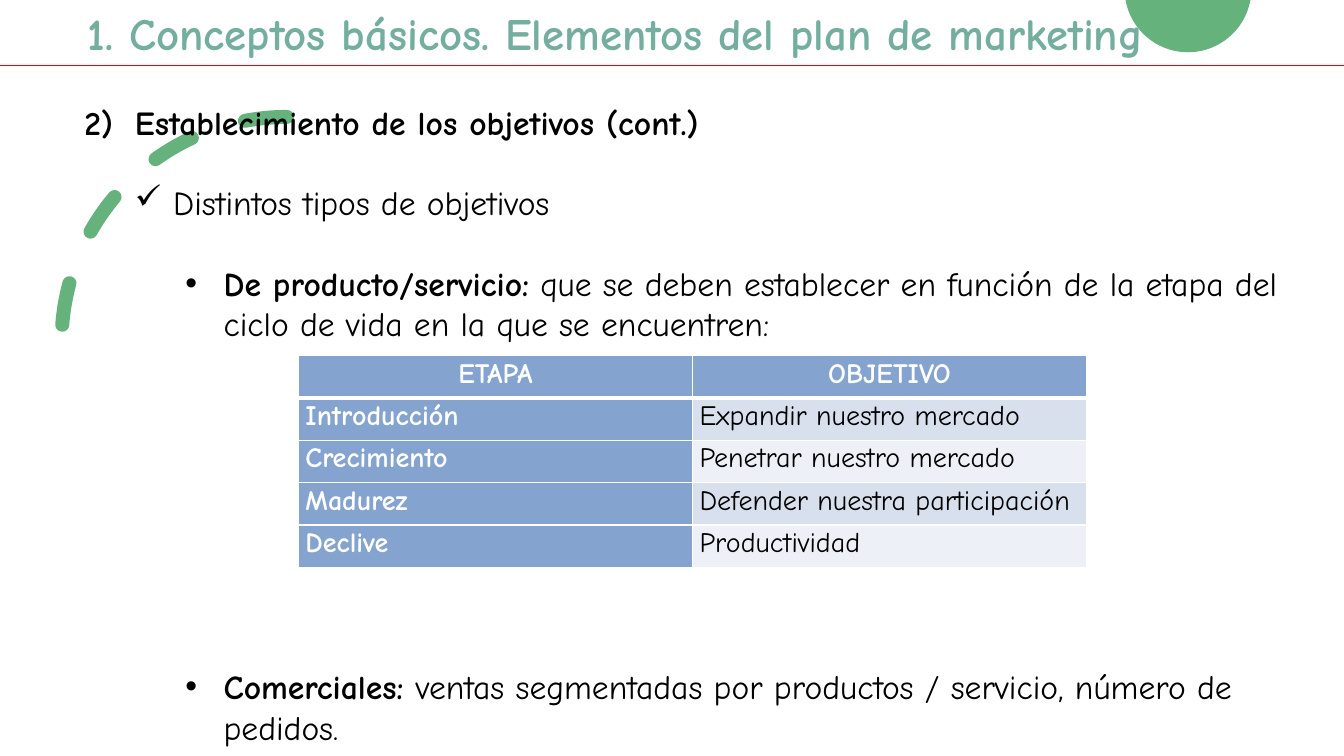
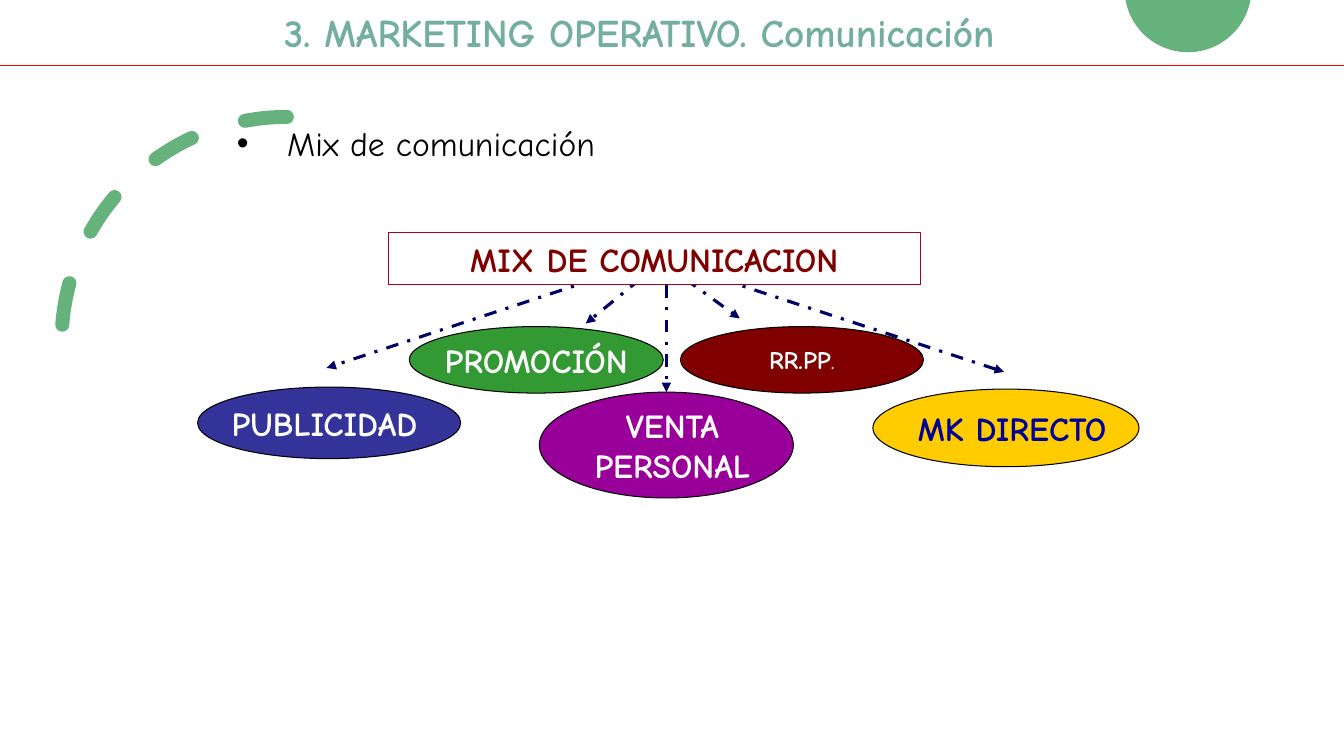
import math
from dataclasses import dataclass

from lxml import etree
from pptx import Presentation
from pptx.dml.color import RGBColor
from pptx.enum.dml import MSO_LINE
from pptx.enum.shapes import MSO_CONNECTOR, MSO_SHAPE
from pptx.enum.text import MSO_ANCHOR, PP_ALIGN
from pptx.oxml.ns import qn
from pptx.util import Inches, Pt

STRAIGHT = MSO_CONNECTOR.STRAIGHT
ARC, OVAL, RECT = MSO_SHAPE.ARC, MSO_SHAPE.OVAL, MSO_SHAPE.RECTANGLE
DASH, DASH_DOT = MSO_LINE.DASH, MSO_LINE.DASH_DOT
LEFT, CENTER = PP_ALIGN.LEFT, PP_ALIGN.CENTER
TOP, MIDDLE = MSO_ANCHOR.TOP, MSO_ANCHOR.MIDDLE
TOP_SITE = 0


@dataclass(frozen=True)
class Theme:
    font: str = "Comic Neue"
    title: str = "73AE9E"
    leaf: str = "65B27D"
    rule: str = "FF0000"
    ink: str = "000000"
    paper: str = "FFFFFF"
    header: str = "84A4CF"
    bands: tuple = ("D9E0ED", "EDF0F6")
    arrow: str = "000066"
    maroon: str = "800000"
    crimson: str = "A50021"
    blue: str = "333399"
    green: str = "339933"
    purple: str = "990099"
    yellow: str = "FFCC00"
    navy: str = "000099"
    title_size: int = 32
    subtitle_size: int = 28
    body_size: int = 24
    cell_size: int = 20
    small_size: int = 18
    line_gap: float = 28.8


THEME = Theme()

# Bullet styles: left margin and hanging indent in inches, then the marker
NUMBER = (0.5, -0.5, "buAutoNum", {"type": "arabicParenR", "startAt": "2"})
CHECK = (0.88, -0.38, "buChar", {"char": "✓"})
DOT = (1.38, -0.38, "buChar", {"char": "•"})
WIDE_DOT = (1.5, -0.5, "buChar", {"char": "•"})


def rgb(value):
    return RGBColor.from_string(value)


class Deck:
    """Holds the theme and the current slide; lengths are percent of the slide."""

    def __init__(self, theme):
        self.theme = theme
        self.prs = Presentation()
        self.prs.slide_width, self.prs.slide_height = Inches(13.33), Inches(7.5)
        self.slide = None

    def x(self, share):
        return round(self.prs.slide_width * share / 100)

    def y(self, share):
        return round(self.prs.slide_height * share / 100)

    def box(self, left, top, width, height):
        return self.x(left), self.y(top), self.x(width), self.y(height)

    def new_slide(self, title, size, title_box):
        self.slide = self.prs.slides.add_slide(self.prs.slide_layouts[6])
        self.circle()
        self.arc()
        self.line((0, 8.67), (100, 8.67), self.theme.rule, 1.25)
        self.text(title_box, [(None, [(title, True)])], size, self.theme.title)

    # Decoration shared by every slide
    def circle(self):
        cx, cy, radius = self.x(88.39), self.y(-1.47), self.x(4.72)
        start = math.asin(-cy / radius)
        steps = 48
        angles = [start + (math.pi - 2 * start) * i / steps for i in range(steps + 1)]
        points = [(round(cx + radius * math.cos(a)), round(cy + radius * math.sin(a)))
                  for a in angles]
        builder = self.slide.shapes.build_freeform(*points[0])
        builder.add_line_segments(points[1:], close=True)
        self.paint(builder.convert_to_shape(), self.theme.leaf)

    def arc(self):
        dashes = self.slide.shapes.add_shape(ARC, *self.box(4.58, 15.47, 33.53, 59.6))
        dashes.rotation = 180
        dashes._element.spPr.find(qn("a:xfrm")).set("flipV", "1")
        self.paint(dashes, None, self.theme.leaf, 10)
        dashes.line.dash_style = DASH
        dashes.line._get_or_add_ln().set("cap", "rnd")

    # Basic elements
    def paint(self, shape, fill, line=None, width=0.75):
        shape.shadow.inherit = False
        if fill:
            shape.fill.solid()
            shape.fill.fore_color.rgb = rgb(fill)
        else:
            shape.fill.background()
        if line:
            shape.line.color.rgb = rgb(line)
            shape.line.width = Pt(width)
        else:
            shape.line.fill.background()

    def line(self, start, end, color, width):
        stroke = self.slide.shapes.add_connector(
            STRAIGHT, self.x(start[0]), self.y(start[1]), self.x(end[0]), self.y(end[1]))
        stroke.line.color.rgb = rgb(color)
        stroke.line.width = Pt(width)
        etree.SubElement(stroke._element.spPr, qn("a:effectLst"))
        return stroke

    def arrow(self, start, end):
        stroke = self.line(start, end, self.theme.arrow, 2.25)
        stroke.line.dash_style = DASH_DOT
        etree.SubElement(stroke.line._get_or_add_ln(), qn("a:tailEnd"), type="triangle")
        return stroke

    def add_runs(self, paragraph, runs, size, color, align=LEFT):
        paragraph.alignment = align
        for words, bold in runs:
            run = paragraph.add_run()
            run.text = words
            font = run.font
            font.name, font.size, font.bold = self.theme.font, Pt(size), bold
            font.color.rgb = rgb(color)

    def bullet(self, paragraph, style):
        margin, indent, tag, attributes = style
        props = paragraph._p.get_or_add_pPr()
        props.set("marL", str(Inches(margin)))
        props.set("indent", str(Inches(indent)))
        if attributes.get("char") == "•":
            etree.SubElement(props, qn("a:buFont"), typeface="Arial")
        etree.SubElement(props, qn("a:" + tag), attributes)

    def text(self, box, paragraphs, size, color):
        frame = self.slide.shapes.add_textbox(*self.box(*box)).text_frame
        frame.word_wrap = True
        for i, (style, runs) in enumerate(paragraphs):
            paragraph = frame.add_paragraph() if i else frame.paragraphs[0]
            if style:
                self.bullet(paragraph, style)
            if i:
                paragraph.space_before = Pt(self.theme.line_gap)
            self.add_runs(paragraph, runs, size, color)

    def node(self, kind, box, fill, line, runs, size, color, shift=0, wrap=False):
        node = self.slide.shapes.add_shape(kind, *self.box(*box))
        self.paint(node, fill, line)
        frame = node.text_frame
        frame.word_wrap = wrap
        frame.vertical_anchor = MIDDLE
        frame.margin_top = frame.margin_bottom = 0
        frame.margin_left = self.x(max(0, 2 * shift))
        frame.margin_right = self.x(max(0, -2 * shift))
        self.add_runs(frame.paragraphs[0], runs, size, color, CENTER)
        return node

    # Table
    def border(self, cell, row):
        props = cell._tc.get_or_add_tcPr()
        for position, side in enumerate("LRTB"):
            heavy = (row, side) in ((0, "B"), (1, "T"))
            edge = etree.Element(qn("a:ln" + side), w=str(Pt(3 if heavy else 1)))
            fill = etree.SubElement(edge, qn("a:solidFill"))
            etree.SubElement(fill, qn("a:srgbClr"), val=self.theme.paper)
            props.insert(position, edge)

    def table(self, box, rows):
        theme = self.theme
        grid = self.slide.shapes.add_table(len(rows), len(rows[0]), *self.box(*box)).table
        grid.horz_banding = False
        for r, values in enumerate(rows):
            for c, value in enumerate(values):
                cell = grid.cell(r, c)
                heading = r == 0 or c == 0
                cell.fill.solid()
                cell.fill.fore_color.rgb = rgb(
                    theme.header if heading else theme.bands[(r - 1) % 2])
                cell.vertical_anchor = TOP
                cell.margin_left = cell.margin_right = Inches(0.07)
                cell.margin_top = cell.margin_bottom = 0
                paragraph = cell.text_frame.paragraphs[0]
                paragraph.line_spacing = 1.07
                self.add_runs(paragraph, [(value, heading)], theme.cell_size,
                              theme.paper if heading else theme.ink,
                              LEFT if r else CENTER)
                self.border(cell, r)


def objectives_slide(deck):
    theme = deck.theme
    deck.new_slide("1. Conceptos básicos. Elementos del plan de marketing",
                   theme.title_size, (5.78, 0.13, 94, 8.53))
    deck.text((5.55, 12.8, 92.03, 34), [
        (NUMBER, [("Establecimiento de los objetivos (cont.)", True)]),
        (CHECK, [("Distintos tipos de objetivos", False)]),
        (DOT, [("De producto/servicio:", True),
               (" que se deben establecer en función de la etapa del ciclo de vida "
                "en la que se encuentren:", False)]),
    ], theme.body_size, theme.ink)
    deck.table((22.2, 47.07, 58.65, 28), [
        ("ETAPA", "OBJETIVO"),
        ("Introducción", "Expandir nuestro mercado"),
        ("Crecimiento", "Penetrar nuestro mercado"),
        ("Madurez", "Defender nuestra participación"),
        ("Declive", "Productividad"),
    ])
    deck.text((5.55, 87.47, 92.03, 12), [
        (DOT, [("Comerciales: ", True),
               ("ventas segmentadas por productos / servicio, número de pedidos.", False)]),
    ], theme.body_size, theme.ink)


def communication_slide(deck):
    theme = deck.theme
    deck.new_slide("3. MARKETING OPERATIVO. Comunicación",
                   theme.subtitle_size, (20.4, 0.4, 77.85, 7.6))
    deck.text((9.38, 15.6, 90.6, 6.67), [(WIDE_DOT, [("Mix de comunicación", False)])],
              theme.body_size, theme.ink)

    # Side branches: ellipse, fill, label, size, label colour, label shift, arrow start, arrow end
    big, small = theme.body_size, theme.small_size
    branches = [
        ((14.7, 51.2, 19.58, 9.47), theme.blue, [("PUBLICIDAD", True)],
         big, theme.paper, -0.34, 44.25, (24.3, 48.67)),
        ((30.45, 43.2, 18.9, 8.8), theme.green, [("PROMOCIÓN", True)],
         big, theme.paper, 0, 47.63, (43.58, 42.8)),
        ((50.63, 43.2, 18.08, 8.8), theme.maroon, [("RR.PP", True), (".", False)],
         small, theme.paper, 0, 51, (55.05, 42.13)),
        ((64.95, 51.47, 19.8, 10.27), theme.yellow, [("MK DIRECTO", True)],
         big, theme.navy, 0.45, 53.7, (74.7, 49.2)),
    ]
    for box, fill, label, size, color, shift, start, end in branches:
        deck.node(OVAL, box, fill, theme.ink, label, size, color, shift)
        deck.arrow((start, 36.93), end)

    # Root and central branch
    deck.node(RECT, (28.88, 30.8, 39.6, 6.8), theme.paper, theme.crimson,
              [("MIX DE COMUNICACION", True)], big, theme.maroon)
    personal_sale = deck.node(OVAL, (40.13, 51.87, 18.9, 14), theme.purple, theme.ink,
                              [("VENTA PERSONAL", True)], big, theme.paper, 0.45, wrap=True)
    deck.arrow((49.58, 37.73), (49.58, 51.87)).end_connect(personal_sale, TOP_SITE)


def main():
    deck = Deck(THEME)
    objectives_slide(deck)
    communication_slide(deck)
    deck.prs.save("out.pptx")


if __name__ == "__main__":
    main()
